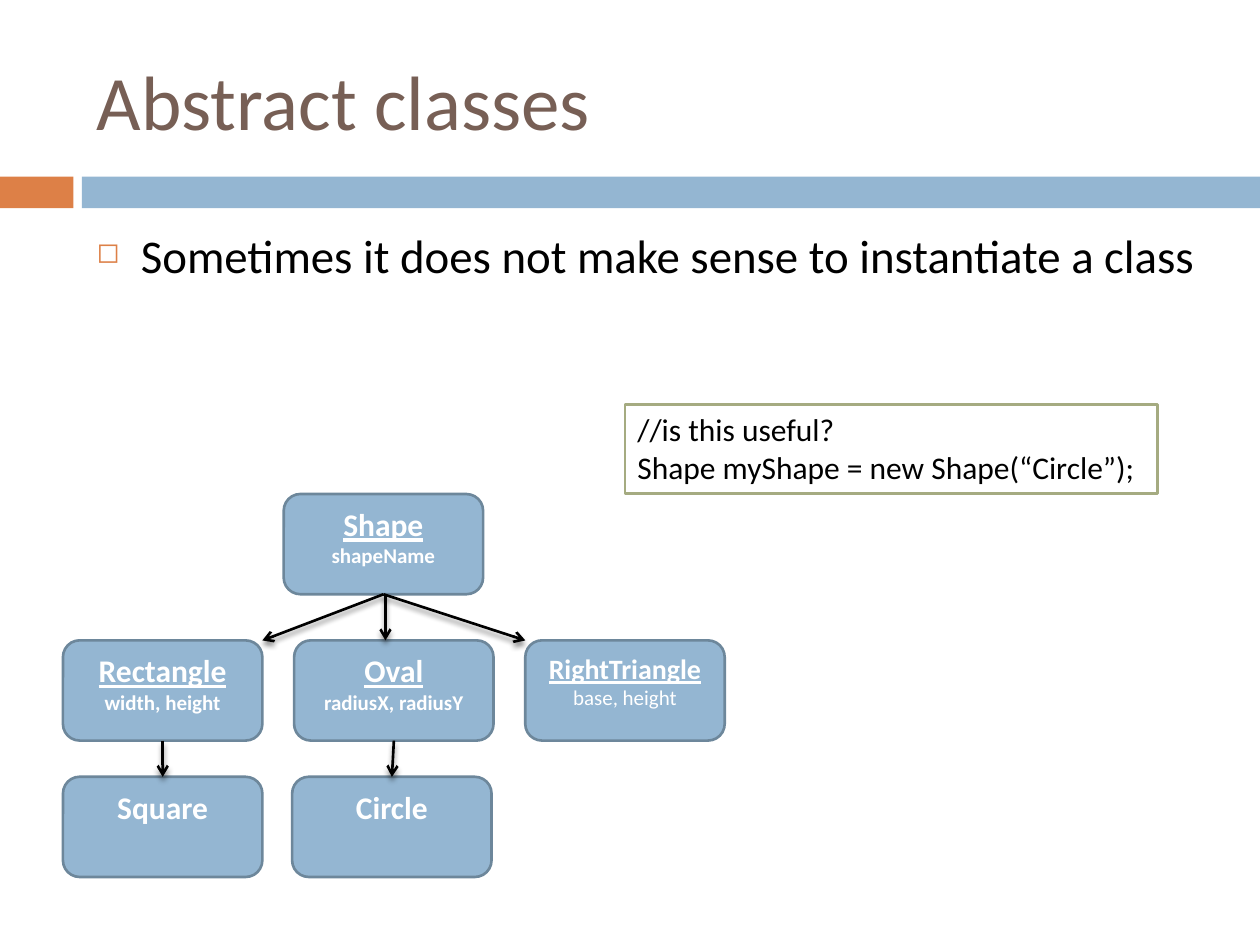
from lxml import etree
from pptx import Presentation
from pptx.dml.color import RGBColor
from pptx.enum.shapes import MSO_CONNECTOR, MSO_SHAPE
from pptx.enum.text import MSO_ANCHOR, PP_ALIGN
from pptx.oxml.ns import qn
from pptx.util import Cm, Pt

FONT = "Calibri"
ORANGE, BLUE, BLUE_EDGE = "DD8047", "94B6D2", "6D879B"
BROWN, GREEN, BLACK, WHITE = "775F55", "A5AB81", "000000", "FFFFFF"

BOX_W, BOX_H = 4.02, 2.02
COLUMNS = [1.27 + 4.66 * i for i in range(3)]
ROOT_TOP, CHILD_TOP, LEAF_TOP = 9.96, 12.91, 15.66


def color(hex_value):
    return RGBColor.from_string(hex_value)


def style(paragraph, size, hex_value, bold=False, underline=False):
    for run in paragraph.runs:
        font = run.font
        font.name, font.size = FONT, Pt(size)
        font.bold, font.underline = bold, underline
        font.color.rgb = color(hex_value)


def add_block(slide, kind, left, top, width, height, fill, edge=None):
    block = slide.shapes.add_shape(kind, Cm(left), Cm(top), Cm(width), Cm(height))
    block.shadow.inherit = False
    block.fill.solid()
    block.fill.fore_color.rgb = color(fill)
    if edge:
        block.line.color.rgb = color(edge)
        block.line.width = Pt(1.5)
    else:
        block.line.fill.background()
    block.text_frame.vertical_anchor = MSO_ANCHOR.TOP
    return block


def add_text(slide, left, top, width, height, text, size, hex_value):
    frame = slide.shapes.add_textbox(Cm(left), Cm(top), Cm(width), Cm(height)).text_frame
    frame.word_wrap = True
    frame.text = text
    style(frame.paragraphs[0], size, hex_value)
    return frame


def add_bullet(paragraph):
    """Give the paragraph a small orange square and a hanging indent."""
    props = paragraph._p.get_or_add_pPr()
    props.set("marL", str(Cm(0.89)))
    props.set("indent", str(Cm(-0.89)))
    bullet_color = etree.SubElement(props, qn("a:buClr"))
    etree.SubElement(bullet_color, qn("a:srgbClr"), val=ORANGE)
    etree.SubElement(props, qn("a:buSzPct"), val="60000")
    etree.SubElement(props, qn("a:buChar"), char="◻")


def add_class(slide, left, top, name, fields=None, name_size=18, bold_fields=True):
    box = add_block(slide, MSO_SHAPE.ROUNDED_RECTANGLE, left, top, BOX_W, BOX_H,
                    BLUE, BLUE_EDGE)
    frame = box.text_frame
    frame.text = f"{name}\n{fields}" if fields else name
    for paragraph in frame.paragraphs:
        paragraph.alignment = PP_ALIGN.CENTER
    style(frame.paragraphs[0], name_size, WHITE, bold=True, underline=bool(fields))
    for paragraph in frame.paragraphs[1:]:
        style(paragraph, 12, WHITE, bold=bold_fields)


def add_arrow(slide, start, end):
    arrow = slide.shapes.add_connector(
        MSO_CONNECTOR.STRAIGHT, *(Cm(value) for value in (*start, *end)))
    arrow.line.color.rgb = color(BLACK)
    arrow.line.width = Pt(1.5)
    etree.SubElement(arrow.line._get_or_add_ln(), qn("a:tailEnd"), type="arrow")
    effects = etree.SubElement(arrow._element.spPr, qn("a:effectLst"))
    shadow = etree.SubElement(effects, qn("a:outerShdw"), blurRad=str(Pt(3)),
                              dist=str(Pt(2.4)), dir="5400000", rotWithShape="0")
    shade = etree.SubElement(shadow, qn("a:srgbClr"), val=BLACK)
    etree.SubElement(shade, qn("a:alpha"), val="45000")


def add_code(slide, lines):
    box = add_block(slide, MSO_SHAPE.RECTANGLE, 12.6, 8.15, 10.74, 1.8, WHITE, GREEN)
    box.text_frame.text = "\n".join(lines)
    for paragraph in box.text_frame.paragraphs:
        paragraph.alignment = PP_ALIGN.LEFT
        style(paragraph, 18, BLACK)


def add_hierarchy(slide):
    rectangle, oval, triangle = COLUMNS
    root_left, circle_left = 5.72, 5.89
    half = BOX_W / 2

    add_class(slide, root_left, ROOT_TOP, "Shape", "shapeName")
    add_class(slide, rectangle, CHILD_TOP, "Rectangle", "width, height")
    add_class(slide, oval, CHILD_TOP, "Oval", "radiusX, radiusY")
    add_class(slide, triangle, CHILD_TOP, "RightTriangle", "base, height",
              name_size=16, bold_fields=False)
    add_class(slide, rectangle, LEAF_TOP, "Square")
    add_class(slide, circle_left, LEAF_TOP, "Circle")

    root_x, root_bottom = root_left + half, ROOT_TOP + BOX_H
    middle_x = 7.77
    add_arrow(slide, (middle_x, root_bottom), (middle_x, CHILD_TOP))
    for corner in (rectangle + BOX_W, triangle):
        add_arrow(slide, (root_x, root_bottom), (corner, CHILD_TOP))
    for parent, child in ((rectangle, rectangle), (oval, circle_left)):
        add_arrow(slide, (parent + half, CHILD_TOP + BOX_H), (child + half, LEAF_TOP))


def main():
    deck = Presentation()
    deck.slide_width, deck.slide_height = Cm(25.4), Cm(19.05)
    slide = deck.slides.add_slide(deck.slide_layouts[6])

    add_block(slide, MSO_SHAPE.RECTANGLE, 0, 3.56, 1.48, 0.64, ORANGE)
    add_block(slide, MSO_SHAPE.RECTANGLE, 1.65, 3.56, 23.75, 0.64, BLUE)
    title = add_text(slide, 1.7, 0.64, 22.66, 2.74, "Abstract classes", 44, BROWN)
    title.vertical_anchor = MSO_ANCHOR.MIDDLE
    body = add_text(slide, 1.7, 4.45, 22.66, 2.34,
                    "Sometimes it does not make sense to instantiate a class", 26.8, BLACK)
    body.margin_right = 0
    add_bullet(body.paragraphs[0])

    add_hierarchy(slide)
    add_code(slide, ["//is this useful?", "Shape myShape = new Shape(“Circle”);"])
    deck.save("out.pptx")


if __name__ == "__main__":
    main()
